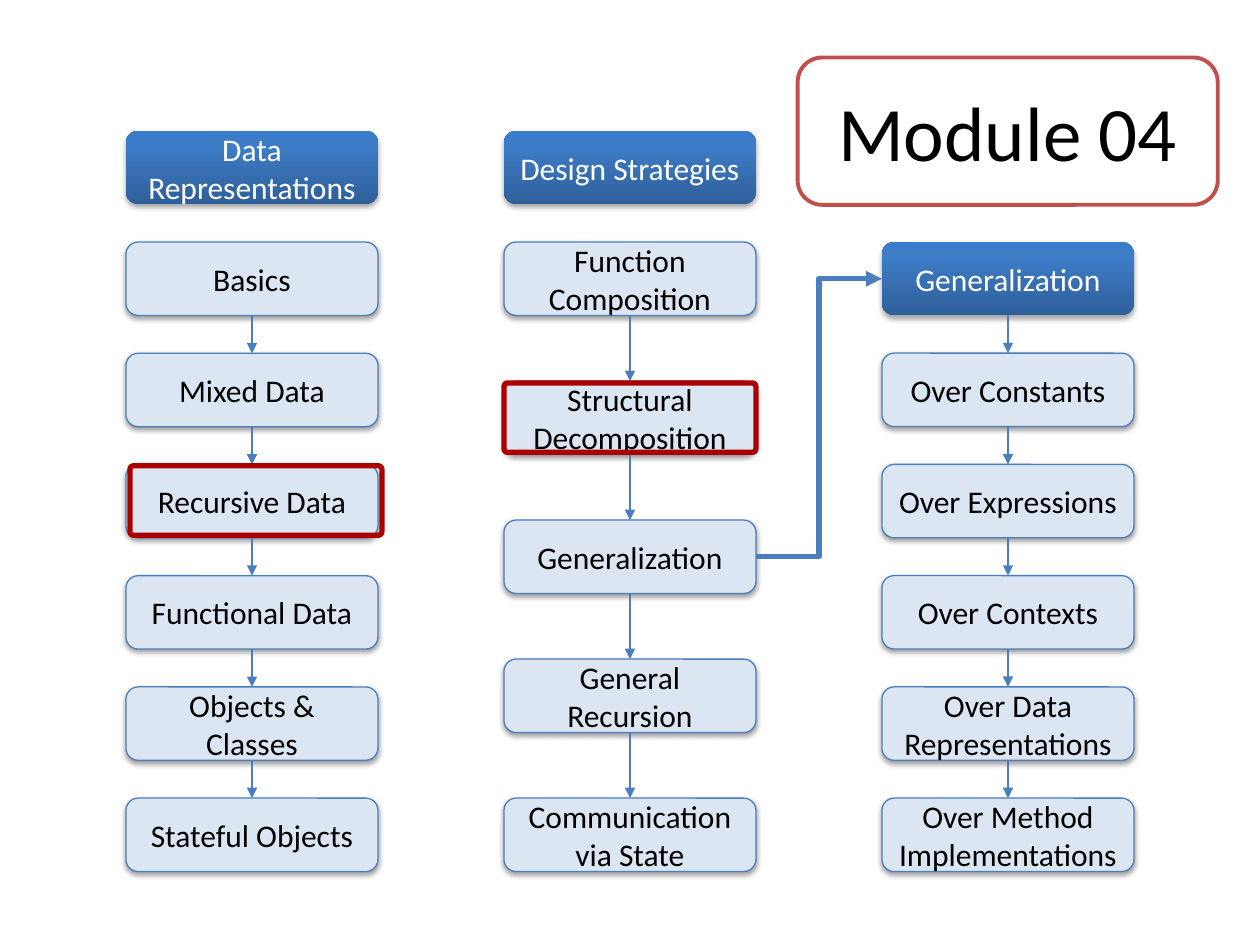
"""Build the Module 04 course map: three columns of topics joined by arrows."""
from copy import deepcopy

from lxml import etree
from pptx import Presentation
from pptx.dml.color import RGBColor
from pptx.enum.shapes import MSO_CONNECTOR as CONN, MSO_SHAPE as SHAPE
from pptx.enum.text import MSO_ANCHOR as ANCHOR, PP_ALIGN as ALIGN
from pptx.oxml.ns import qn
from pptx.util import Cm, Pt

TITLE = "Module 04"
COLUMNS = [
    {"left": 2.54, "header": "Data Representations", "header_row": 0,
     "topics": ["Basics", "Mixed Data", "Recursive Data", "Functional Data",
                "Objects & Classes", "Stateful Objects"]},
    {"left": 10.16, "header": "Design Strategies", "header_row": 0,
     "topics": ["Function Composition", "Structural Decomposition", "Generalization",
                "General Recursion", "Communication via State"]},
    {"left": 17.78, "header": "Generalization", "header_row": 1,
     "topics": ["Over Constants", "Over Expressions", "Over Contexts",
                "Over Data Representations", "Over Method Implementations"]},
]
HIGHLIGHTS = [(10.16, 7.72), (2.62, 9.39)]
COLORS = {"topic": "DCE6F2", "line": "4B7EBC", "title": "C0504D", "mark": "AC0000",
          "black": "000000", "white": "FFFFFF"}
HEADER_STOPS = [(0, "2F5F99"), (0.8, "3D7CC7"), (1, "3A7CCB")]
FONT = "Calibri"
BOX_W, BOX_H = 5.08, 1.48
TOP, BOTTOM, ROW = 4.88, 16.09, 2.24


def rgb(name):
    return RGBColor.from_string(COLORS[name])


def add_shadow(s, distance, opacity):
    effects = s._element.spPr.find(qn("a:effectLst"))
    shadow = etree.SubElement(effects, qn("a:outerShdw"), blurRad="40000", dist=str(distance),
                              dir="5400000", rotWithShape="0")
    color = etree.SubElement(shadow, qn("a:srgbClr"), val=COLORS["black"])
    etree.SubElement(color, qn("a:alpha"), val=str(opacity * 1000))


def fill_header(s):
    s.fill.gradient()
    s.fill.gradient_angle = 90
    stop_list = s._element.spPr.find(qn("a:gradFill")).find(qn("a:gsLst"))
    stop_list.append(deepcopy(stop_list[-1]))
    for stop, (position, color) in zip(s.fill.gradient_stops, HEADER_STOPS):
        stop.position = position
        stop.color.rgb = RGBColor.from_string(color)


def add_box(slide, left, top, width, height, line=None, weight=0.75, fill=None):
    s = slide.shapes.add_shape(SHAPE.ROUNDED_RECTANGLE, Cm(left), Cm(top), Cm(width), Cm(height))
    s.shadow.inherit = False
    if fill:
        s.fill.solid()
        s.fill.fore_color.rgb = rgb(fill)
    else:
        s.fill.background()
    if line:
        s.line.color.rgb = rgb(line)
        s.line.width = Pt(weight)
    else:
        s.line.fill.background()
    return s


def write(s, text, size=18, color="black"):
    tf = s.text_frame
    tf.word_wrap = True
    tf.vertical_anchor = ANCHOR.MIDDLE
    p = tf.paragraphs[0]
    p.alignment = ALIGN.CENTER
    r = p.add_run()
    r.text = text
    r.font.name, r.font.size = FONT, Pt(size)
    r.font.color.rgb = rgb(color)


def add_arrow(slide, kind, start, end, weight=0.75):
    c = slide.shapes.add_connector(kind, *(Cm(v) for v in start + end))
    c.line.color.rgb = rgb("line")
    c.line.width = Pt(weight)
    etree.SubElement(c.line._get_or_add_ln(), qn("a:tailEnd"), type="triangle")
    etree.SubElement(c._element.spPr, qn("a:effectLst"))


def add_column(slide, left, header, header_row, topics):
    header_top = TOP + (header_row - 1) * ROW
    s = add_box(slide, left, header_top, BOX_W, BOX_H)
    fill_header(s)
    add_shadow(s, 23000, 35)
    write(s, header, color="white")

    first = TOP + header_row * ROW
    step = (BOTTOM - first) / (len(topics) - 1)
    tops = [first + i * step for i in range(len(topics))]
    for top, topic in zip(tops, topics):
        s = add_box(slide, left, top, BOX_W, BOX_H, "line", fill="topic")
        add_shadow(s, 20000, 38)
        write(s, topic)

    chain = [header_top] + tops if header_row else tops
    middle = left + BOX_W / 2
    for upper, lower in zip(chain, chain[1:]):
        add_arrow(slide, CONN.STRAIGHT, (middle, upper + BOX_H), (middle, lower))


def main():
    prs = Presentation()
    prs.slide_width, prs.slide_height = Cm(25.4), Cm(19.05)
    slide = prs.slides.add_slide(prs.slide_layouts[6])
    for column in COLUMNS:
        add_column(slide, **column)
    write(add_box(slide, 16.08, 1.16, 8.47, 2.97, "title", 2.25), TITLE, 44)

    strategies, generalization = COLUMNS[1]["left"], COLUMNS[2]["left"]
    add_arrow(slide, CONN.ELBOW, (strategies + BOX_W, (TOP + BOTTOM + BOX_H) / 2),
              (generalization, TOP + BOX_H / 2), 3)
    for left, top in HIGHLIGHTS:
        add_box(slide, left, top, BOX_W, 1.4, "mark", 3).adjustments[0] = 0.05
    prs.save("out.pptx")


if __name__ == "__main__":
    main()
